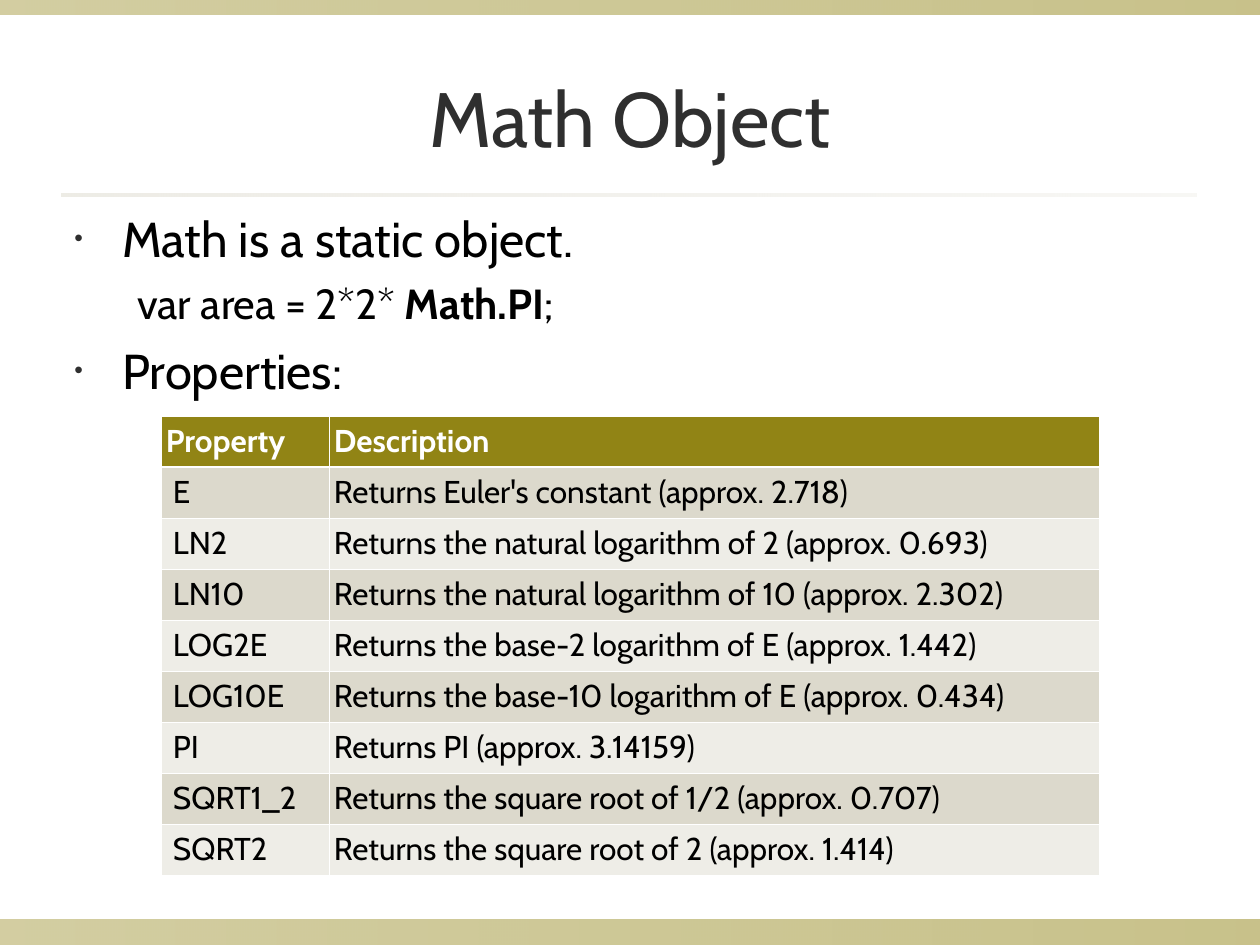
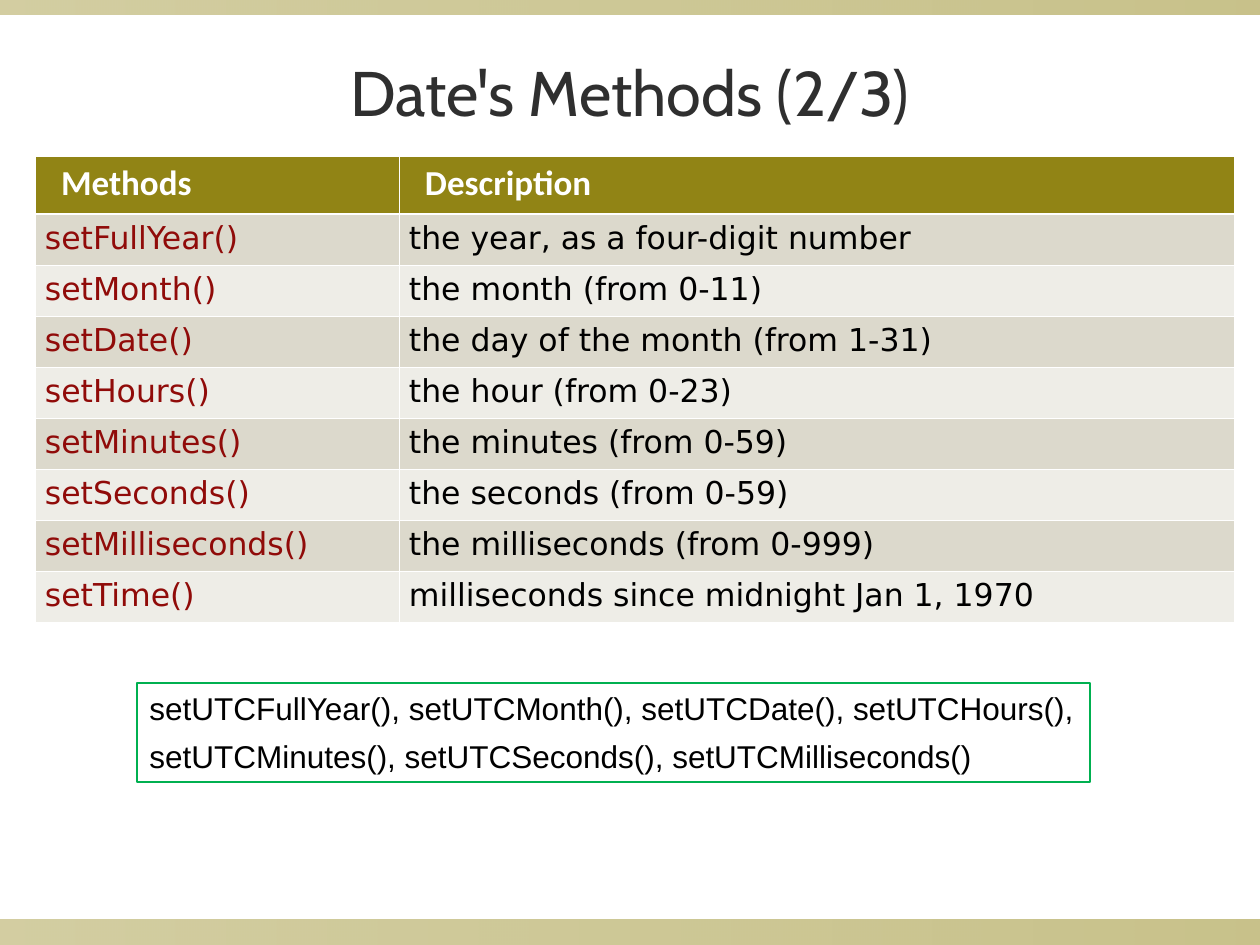
import pptx
import pptx.dml.color
import pptx.enum.shapes
import pptx.enum.text
import pptx.oxml.ns
import pptx.util
from lxml import etree

EMU_PER_PX = 914400 / 126
SLIDE_WIDTH, SLIDE_HEIGHT = 1260, 945
OLIVE, SAND, PALE_SAND = "918415", "DCD9CC", "EEEDE7"
CHARCOAL, BLACK, WHITE = "2F2F2F", "000000", "FFFFFF"
RED, GREEN = "900B09", "00B050"
MATH_FONT, HEAD_FONT, METHOD_FONT, NOTE_FONT = "Cabin", "Calibri", "DejaVu Sans", "Arial"
TITLE_ONLY = 5


def px(length):
    return pptx.util.Emu(round(length * EMU_PER_PX))


def rgb(color):
    return pptx.dml.color.RGBColor.from_string(color)


def add_xml(parent, tag, **attributes):
    return etree.SubElement(parent, pptx.oxml.ns.qn(tag), attributes)


class Deck:
    """Holds the shared style and the slide being built."""

    def __init__(self):
        self.presentation = pptx.Presentation()
        self.presentation.slide_width = px(SLIDE_WIDTH)
        self.presentation.slide_height = px(SLIDE_HEIGHT)
        self.slide = None

    def new_slide(self, title, height, size):
        layout = self.presentation.slide_layouts[TITLE_ONLY]
        self.slide = self.presentation.slides.add_slide(layout)
        # Bands at the edges and the rule below the title
        self.band(0, 920, SLIDE_WIDTH, 25, OLIVE, (40, 50))
        self.band(0, 0, SLIDE_WIDTH, 15, OLIVE, (40, 50))
        self.band(62, 194, 1135, 3, SAND, (50, 20))
        # Title
        heading = self.slide.shapes.title
        heading.left, heading.top = px(63), px(38)
        heading.width, heading.height = px(1134), px(height)
        heading.text_frame.vertical_anchor = pptx.enum.text.MSO_ANCHOR.MIDDLE
        line = heading.text_frame.paragraphs[0]
        line.alignment = pptx.enum.text.PP_ALIGN.CENTER
        self.run(line, title, size, MATH_FONT, CHARCOAL)

    def rectangle(self, left, top, width, height):
        shape = self.slide.shapes.add_shape(
            pptx.enum.shapes.MSO_SHAPE.RECTANGLE, px(left), px(top), px(width), px(height))
        shape.shadow.inherit = False
        return shape

    def band(self, left, top, width, height, color, opacities):
        band = self.rectangle(left, top, width, height)
        band.line.fill.background()
        band.fill.gradient()
        band.fill.gradient_angle = 0
        for stop in band.fill.gradient_stops:
            stop.color.rgb = rgb(color)
        stop_colors = band.element.iter(pptx.oxml.ns.qn("a:srgbClr"))
        for stop_color, opacity in zip(stop_colors, opacities):
            add_xml(stop_color, "a:alpha", val=str(opacity * 1000))

    def run(self, paragraph, text, size, font, color=BLACK, bold=False):
        run = paragraph.add_run()
        run.text = text
        run.font.size = pptx.util.Pt(size)
        run.font.name = font
        run.font.bold = bold
        run.font.color.rgb = rgb(color)

    def paragraph(self, frame, space_before):
        first = frame.paragraphs[0]
        paragraph = frame.add_paragraph() if first.runs else first
        paragraph.alignment = pptx.enum.text.PP_ALIGN.LEFT
        paragraph.space_before = pptx.util.Pt(space_before)
        return paragraph

    def outline(self, left, top, width, height, points):
        """Each point is (is_bullet, [(text, bold), ...])."""
        box = self.slide.shapes.add_textbox(px(left), px(top), px(width), px(height))
        box.text_frame.word_wrap = True
        for is_bullet, pieces in points:
            point = self.paragraph(box.text_frame, 7 if is_bullet else 6)
            margin, hanging = (48, 48) if is_bullet else (102, 39)
            properties = point._p.get_or_add_pPr()
            properties.set("marL", str(px(margin)))
            properties.set("indent", str(-px(hanging)))
            if is_bullet:
                bullet_color = add_xml(properties, "a:buClr")
                add_xml(bullet_color, "a:srgbClr", val=CHARCOAL)
                add_xml(properties, "a:buSzPct", val="50000")
                add_xml(properties, "a:buFont", typeface=NOTE_FONT)
                add_xml(properties, "a:buChar", char="•")
            else:
                point.level = 1
            for text, bold in pieces:
                self.run(point, text, 28 if is_bullet else 24, MATH_FONT, bold=bold)

    def cell_border(self, cell, side, width):
        border = add_xml(cell._tc.get_or_add_tcPr(), f"a:ln{side}",
                         w=str(pptx.util.Pt(width)))
        add_xml(add_xml(border, "a:solidFill"), "a:srgbClr", val=WHITE)

    def table(self, left, top, widths, head_height, rows, head_style, body_styles,
              head_inset, body_insets, right_inset):
        """Styles are (size, font, color, bold); body values go by column."""
        row_height = 51
        frame = self.slide.shapes.add_table(
            len(rows), len(widths), px(left), px(top), px(sum(widths)),
            px(head_height + row_height * (len(rows) - 1)))
        table = frame.table
        table.horz_banding = False
        for column, width in zip(table.columns, widths):
            column.width = px(width)
        for r, texts in enumerate(rows):
            is_head = r == 0
            table.rows[r].height = px(head_height if is_head else row_height)
            for c, text in enumerate(texts):
                cell = table.cell(r, c)
                cell.margin_left = px(head_inset if is_head else body_insets[c])
                cell.margin_right = px(right_inset)
                cell.margin_top = cell.margin_bottom = px(6)
                for side in "LRTB":
                    below_head = (r, side) in ((0, "B"), (1, "T"))
                    self.cell_border(cell, side, 1.5 if below_head else 0.45)
                cell.fill.solid()
                cell.fill.fore_color.rgb = rgb(
                    OLIVE if is_head else SAND if r % 2 else PALE_SAND)
                style = head_style if is_head else body_styles[c]
                self.run(cell.text_frame.paragraphs[0], text, *style)

    def framed_note(self, left, top, width, height, lines):
        note = self.rectangle(left, top, width, height)
        note.fill.background()
        note.line.color.rgb = rgb(GREEN)
        note.line.width = pptx.util.Pt(0.75)
        note.text_frame.word_wrap = False
        note.text_frame.vertical_anchor = pptx.enum.text.MSO_ANCHOR.TOP
        for text in lines:
            self.run(self.paragraph(note.text_frame, 6), text, 18, NOTE_FONT)


def math_slide(deck):
    deck.new_slide("Math Object", 157, 44)
    deck.outline(62, 202, 1134, 646, [
        (True, [("Math is a static object.", False)]),
        (False, [("var area = 2*2* ", False), ("Math.PI", True), (";", False)]),
        (True, [("Properties:", False)]),
    ])
    # Constants of the Math object
    constants = [
        ("Property", "Description"),
        ("E", "Returns Euler's constant (approx. 2.718)"),
        ("LN2", "Returns the natural logarithm of 2 (approx. 0.693)"),
        ("LN10", "Returns the natural logarithm of 10 (approx. 2.302)"),
        ("LOG2E", "Returns the base-2 logarithm of E (approx. 1.442)"),
        ("LOG10E", "Returns the base-10 logarithm of E (approx. 0.434)"),
        ("PI", "Returns PI (approx. 3.14159)"),
        ("SQRT1_2", "Returns the square root of 1/2 (approx. 0.707)"),
        ("SQRT2", "Returns the square root of 2 (approx. 1.414)"),
    ]
    body = (18, MATH_FONT, BLACK)
    deck.table(161, 416, (168, 770), 51, constants,
               head_style=(18, MATH_FONT, WHITE, True), body_styles=(body, body),
               head_inset=5, body_insets=(12, 5), right_inset=12)


def date_slide(deck):
    deck.new_slide("Date's Methods (2/3)", 107, 36)
    # Setter methods
    setters = [
        ("Methods", "Description"),
        ("setFullYear()", "the year, as a four-digit number"),
        ("setMonth()", "the month (from 0-11)"),
        ("setDate()", "the day of the month (from 1-31)"),
        ("setHours()", "the hour (from 0-23)"),
        ("setMinutes()", "the minutes (from 0-59)"),
        ("setSeconds()", "the seconds (from 0-59)"),
        ("setMilliseconds()", "the milliseconds (from 0-999)"),
        ("setTime()", "milliseconds since midnight Jan 1, 1970"),
    ]
    deck.table(35, 156, (364, 835), 58, setters,
               head_style=(20, HEAD_FONT, WHITE, True),
               body_styles=((18, METHOD_FONT, RED), (18, METHOD_FONT, BLACK)),
               head_inset=26, body_insets=(10, 10), right_inset=3)
    # UTC variants
    deck.framed_note(137, 683, 953, 99, [
        "setUTCFullYear(), setUTCMonth(), setUTCDate(), setUTCHours(),",
        "setUTCMinutes(), setUTCSeconds(), setUTCMilliseconds()",
    ])


def main():
    deck = Deck()
    math_slide(deck)
    date_slide(deck)
    deck.presentation.save("out.pptx")


if __name__ == "__main__":
    main()
